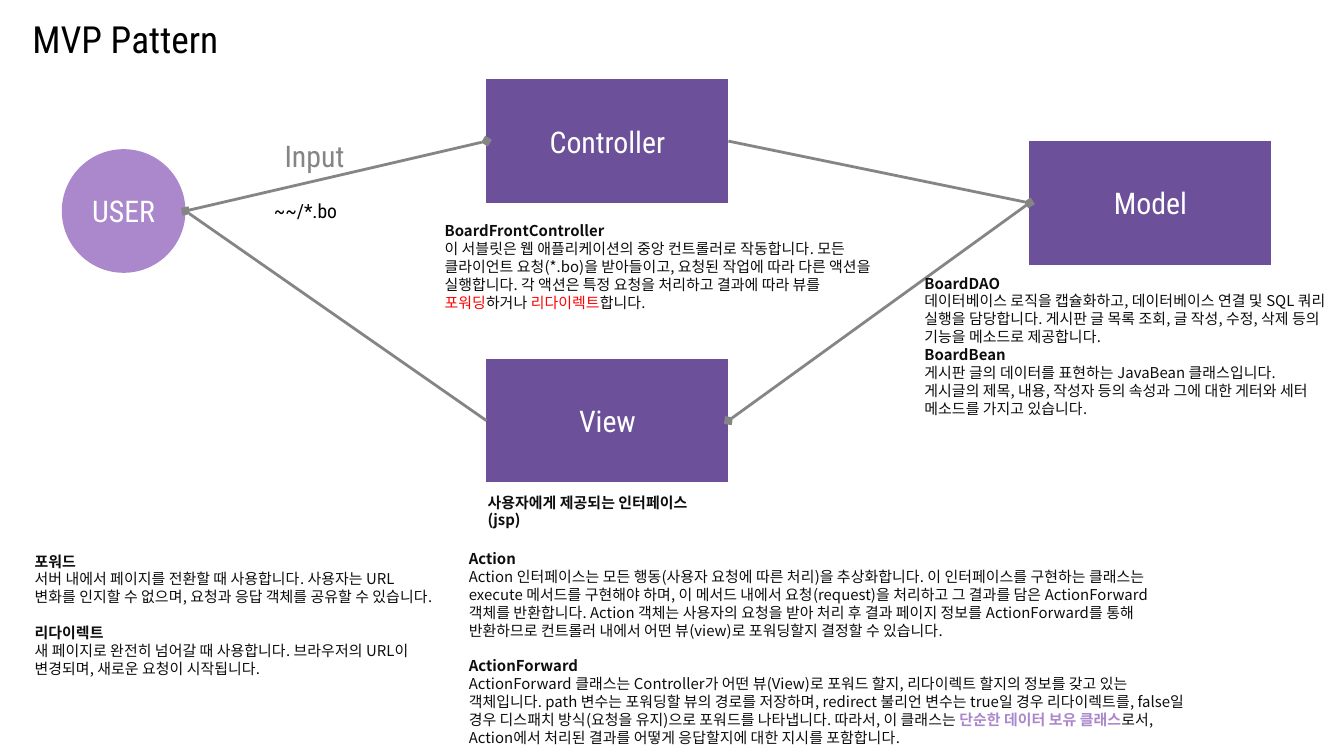
from dataclasses import dataclass

from lxml.etree import SubElement
from pptx import Presentation
from pptx.dml.color import RGBColor as Color
from pptx.enum.shapes import MSO_CONNECTOR as Connector, MSO_SHAPE as Shape
from pptx.enum.text import MSO_ANCHOR as Anchor, PP_ALIGN as Align
from pptx.oxml.ns import qn
from pptx.util import Inches, Pt


@dataclass(frozen=True)
class Theme:
    display: str = "Roboto Condensed"
    body: str = "Noto Sans CJK KR"
    purple: str = "6C5099"
    lilac: str = "AB87CC"
    grey: str = "858585"
    ink: str = "0D0D0D"
    black: str = "000000"
    white: str = "FFFFFF"
    red: str = "FF0000"
    title_size: float = 20
    label_size: float = 16
    path_size: float = 10.5
    note_size: float = 8
    line_width: float = 1.5


class PatternSlide:
    def __init__(self, slide, theme):
        self.slide = slide
        self.theme = theme

    def style(self, paragraph, face, size, color, bold=False):
        font = paragraph.font
        font.name, font.size, font.bold = face, Pt(size), bold
        font.color.rgb = Color.from_string(color)
        # East Asian glyphs take the same face, without pair kerning
        defaults = paragraph._p.pPr.find(qn("a:defRPr"))
        defaults.set("kern", "0")
        SubElement(defaults, qn("a:ea"), typeface=face)

    def title(self, text, left, top, width, height):
        title = self.slide.shapes.title
        title.left, title.top = Inches(left), Inches(top)
        title.width, title.height = Inches(width), Inches(height)
        frame = title.text_frame
        frame.text = text
        frame.vertical_anchor = Anchor.MIDDLE
        frame.margin_top = frame.margin_bottom = Inches(0.1)
        frame.paragraphs[0].alignment = Align.LEFT
        self.style(frame.paragraphs[0], self.theme.display,
                   self.theme.title_size, self.theme.black)

    def text_frame(self, left, top, width, height):
        box = self.slide.shapes.add_textbox(
            Inches(left), Inches(top), Inches(width), Inches(height))
        box.text_frame.word_wrap = True
        return box.text_frame

    def label(self, text, left, top, width, height, color, size, align):
        frame = self.text_frame(left, top, width, height)
        frame.vertical_anchor = Anchor.MIDDLE
        frame.text = text
        frame.paragraphs[0].alignment = align
        self.style(frame.paragraphs[0], self.theme.display, size, color)

    def node(self, name, kind, left, top, width, height, fill):
        shape = self.slide.shapes.add_shape(
            kind, Inches(left), Inches(top), Inches(width), Inches(height))
        shape.shadow.inherit = False
        shape.fill.solid()
        shape.fill.fore_color.rgb = Color.from_string(fill)
        shape.line.fill.background()
        label_width = min(width, 1.16)
        self.label(name, left + (width - label_width) / 2, top + 0.36,
                   label_width, 0.2, self.theme.white,
                   self.theme.label_size, Align.CENTER)
        return shape

    def link(self, start, end):
        line = self.slide.shapes.add_connector(Connector.STRAIGHT, *start, *end)
        line.line.color.rgb = Color.from_string(self.theme.grey)
        line.line.width = Pt(self.theme.line_width)
        properties = line._element.spPr
        SubElement(properties.find(qn("a:ln")), qn("a:tailEnd"), type="diamond")
        SubElement(properties, qn("a:effectLst"))

    def note(self, left, top, width, height, sections, gap=0):
        """Each section is a heading and a list of (text, accent colour) runs."""
        theme = self.theme
        frame = self.text_frame(left, top, width, height)
        paragraph = frame.paragraphs[0]
        for index, (heading, runs) in enumerate(sections):
            if index:
                paragraph = frame.add_paragraph()
                paragraph.space_before = Pt(gap)
            paragraph.add_run().text = heading
            self.style(paragraph, theme.body, theme.note_size, theme.ink, True)
            if not runs:
                continue
            paragraph = frame.add_paragraph()
            self.style(paragraph, theme.body, theme.note_size, theme.ink)
            for text, accent in runs:
                run = paragraph.add_run()
                run.text = text
                if accent:
                    run.font.color.rgb = Color.from_string(accent)
                    run.font.bold = accent == theme.lilac


def left_edge(shape):
    return shape.left, shape.top + shape.height // 2


def right_edge(shape):
    return shape.left + shape.width, shape.top + shape.height // 2


def main():
    theme = Theme()
    deck = Presentation()
    deck.slide_width = Inches(10)
    deck.slide_height = deck.slide_width * 9 // 16
    page = PatternSlide(deck.slides.add_slide(deck.slide_layouts[5]), theme)
    page.title("MVP Pattern", 0.14, 0.12, 9, 0.33)

    # Actors of the pattern
    user = page.node("USER", Shape.OVAL, 0.46, 1.11, 0.92, 0.92, theme.lilac)
    controller, view, model = (
        page.node(name, Shape.FLOWCHART_PROCESS, left, top, 1.8, 0.92, theme.purple)
        for name, left, top in (("Controller", 3.62, 0.59),
                                ("View", 3.62, 2.67),
                                ("Model", 7.66, 1.05)))

    # Flow between them
    page.link(right_edge(user), left_edge(controller))
    page.link(right_edge(controller), left_edge(model))
    page.link(left_edge(model), right_edge(view))
    page.link(left_edge(view), right_edge(user))
    page.label("Input", 1.97, 1.03, 0.69, 0.25, theme.grey,
               theme.label_size, Align.RIGHT)
    page.label("~~/*.bo", 1.94, 1.4, 1.13, 0.33, theme.black,
               theme.path_size, Align.LEFT)

    # Notes beside the actors
    page.note(6.78, 1.99, 3.22, 1.18, [
        ("BoardDAO", [("데이터베이스 로직을 캡슐화하고, 데이터베이스 연결 및 SQL 쿼리 실행을 담당합니다. "
                       "게시판 글 목록 조회, 글 작성, 수정, 삭제 등의 기능을 메소드로 제공합니다.", None)]),
        ("BoardBean", [("게시판 글의 데이터를 표현하는 JavaBean 클래스입니다. 게시글의 제목, 내용, "
                        "작성자 등의 속성과 그에 대한 게터와 세터 메소드를 가지고 있습니다.", None)]),
    ])
    page.note(3.21, 1.6, 3.43, 0.77, [
        ("BoardFrontController", [
            ("이 서블릿은 웹 애플리케이션의 중앙 컨트롤러로 작동합니다. 모든 클라이언트 요청(*.bo)을 "
             "받아들이고, 요청된 작업에 따라 다른 액션을 실행합니다. 각 액션은 특정 요청을 처리하고 "
             "결과에 따라 뷰를 ", None),
            ("포워딩", theme.red), ("하거나 ", None),
            ("리다이렉트", theme.red), ("합니다.", None)]),
    ])
    page.note(3.53, 3.62, 1.95, 0.24, [("사용자에게 제공되는 인터페이스 (jsp)", [])])

    # Explanations along the bottom
    page.note(0.16, 4.06, 3.2, 1.04, [
        ("포워드", [("서버 내에서 페이지를 전환할 때 사용합니다. 사용자는 URL 변화를 인지할 수 없으며, "
                  "요청과 응답 객체를 공유할 수 있습니다.", None)]),
        ("리다이렉트", [("새 페이지로 완전히 넘어갈 때 사용합니다. 브라우저의 URL이 변경되며, "
                     "새로운 요청이 시작됩니다.", None)]),
    ], gap=9.6)
    page.note(3.39, 4.04, 5.56, 1.58, [
        ("Action", [
            ("Action 인터페이스는 모든 행동(사용자 요청에 따른 처리)을 추상화합니다. 이 인터페이스를 "
             "구현하는 클래스는 execute 메서드를 구현해야 하며, 이 메서드 내에서 요청(request)을 처리하고 "
             "그 결과를 담은 ActionForward 객체를 반환합니다. Action 객체는 사용자의 요청을 받아 처리 후 "
             "결과 페이지 정보를 ActionForward를 통해 반환하므로 컨트롤러 내에서 어떤 뷰(view)로 "
             "포워딩할지 결정할 수 있습니다.", None)]),
        ("ActionForward", [
            ("ActionForward 클래스는 Controller가 어떤 뷰(View)로 포워드 할지, 리다이렉트 할지의 정보를 "
             "갖고 있는 객체입니다. path 변수는 포워딩할 뷰의 경로를 저장하며, redirect 불리언 변수는 "
             "true일 경우 리다이렉트를, false일 경우 디스패치 방식(요청을 유지)으로 포워드를 나타냅니다. "
             "따라서, 이 클래스는 ", None),
            ("단순한 데이터 보유 클래스", theme.lilac),
            ("로서, Action에서 처리된 결과를 어떻게 응답할지에 대한 지시를 포함합니다.", None)]),
    ], gap=9.6)

    deck.save("out.pptx")


if __name__ == "__main__":
    main()
